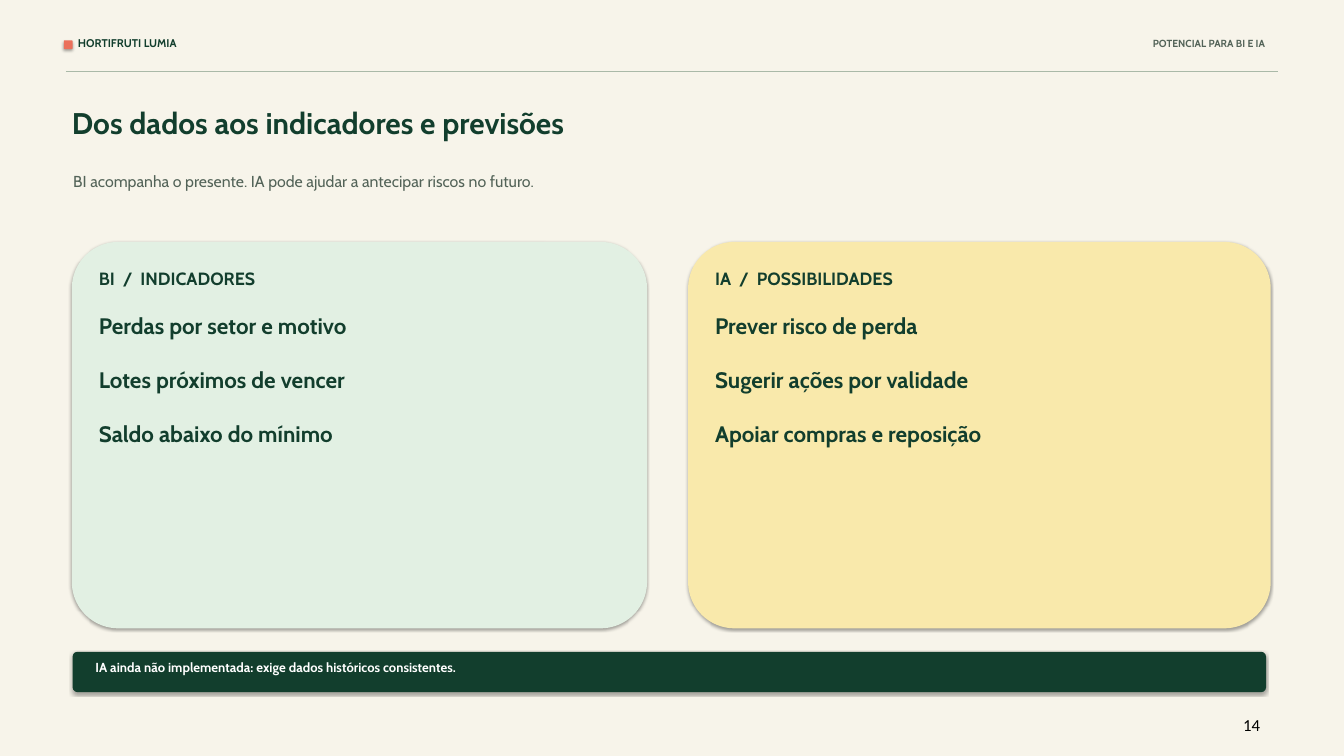
from collections import namedtuple
from dataclasses import dataclass

from lxml import etree
from pptx import Presentation
from pptx.dml import color
from pptx.enum import shapes, text
from pptx.oxml import ns
from pptx.util import Pt

Box = namedtuple("Box", "left top width height")


@dataclass(frozen=True)
class Theme:
    font: str = "Cabin"
    number_font: str = "Calibri"
    paper: str = "F7F4EA"
    green: str = "123E2D"
    gray: str = "536358"
    rule: str = "AAB9A8"
    coral: str = "EB705B"
    mint: str = "E2F0E3"
    yellow: str = "F9E9AB"
    white: str = "FFFFFF"
    black: str = "000000"
    title: int = 32
    item: int = 24
    label: int = 19
    number: int = 18
    subtitle: int = 17
    note: int = 14
    brand: int = 12
    section: int = 11


THEME = Theme()


def points(box):
    return [Pt(length) for length in box]


def rgb(value):
    return color.RGBColor.from_string(value)


def add_shadow(shape):
    effects = shape._element.spPr.find(ns.qn("a:effectLst"))
    shadow = etree.SubElement(
        effects, ns.qn("a:outerShdw"), blurRad=str(Pt(3.1)), dist=str(Pt(1.8)),
        dir="5400000", rotWithShape="0")
    shade = etree.SubElement(shadow, ns.qn("a:srgbClr"), val=THEME.black)
    etree.SubElement(shade, ns.qn("a:alpha"), val="35000")


def add_panel(slide, box, fill, rounded=True):
    kind = shapes.MSO_SHAPE.ROUNDED_RECTANGLE if rounded else shapes.MSO_SHAPE.RECTANGLE
    shape = slide.shapes.add_shape(kind, *points(box))
    shape.shadow.inherit = False
    shape.fill.solid()
    shape.fill.fore_color.rgb = rgb(fill)
    shape.line.fill.background()
    if rounded:
        shape.adjustments[0] = 0.12
        add_shadow(shape)


def add_text(slide, box, lines, size, fill, bold=True, font=THEME.font,
             align=text.PP_ALIGN.LEFT, gap=0):
    frame = slide.shapes.add_textbox(*points(box)).text_frame
    frame.word_wrap = True
    frame.margin_left = frame.margin_right = Pt(1.44)
    frame.margin_top = frame.margin_bottom = Pt(1.44)
    for index, line in enumerate(lines):
        paragraph = frame.paragraphs[0] if index == 0 else frame.add_paragraph()
        paragraph.alignment = align
        if index:
            paragraph.space_before = Pt(gap)
        run = paragraph.add_run()
        run.text = line
        run.font.name = font
        run.font.size = Pt(size)
        run.font.bold = bold
        run.font.color.rgb = rgb(fill)


def add_header(slide, box, brand, section):
    left, top, width, height = box
    add_panel(slide, Box(left - 2.2, top + 5.8, 9.4, 9.4), THEME.coral)
    add_text(slide, Box(left + 11.5, top, 360, 25), [brand], THEME.brand, THEME.green)
    add_text(slide, Box(left + width - 282.4, top + 0.8, 270, 24), [section],
             THEME.section, THEME.gray, align=text.PP_ALIGN.RIGHT)
    bottom = Pt(top + height)
    rule = slide.shapes.add_connector(
        shapes.MSO_CONNECTOR.STRAIGHT, Pt(left), bottom, Pt(left + width), bottom)
    rule.line.color.rgb = rgb(THEME.rule)
    rule.line.width = Pt(0.75)
    etree.SubElement(rule._element.spPr, ns.qn("a:effectLst"))


def add_heading(slide, box, title, subtitle):
    left, top, width, height = box
    add_text(slide, Box(left, top, width, 76), [title], THEME.title, THEME.green)
    add_text(slide, Box(left + 1.4, top + 72, width - 32, height - 72), [subtitle],
             THEME.subtitle, THEME.gray, bold=False)


def add_card(slide, box, fill, label, items):
    left, top, width, height = box
    add_panel(slide, box, fill)
    add_text(slide, Box(left + 27.4, top + 26, width - 54.8, 30), [label],
             THEME.label, THEME.green)
    add_text(slide, Box(left + 27.4, top + 74.2, width - 51.8, height - 90), items,
             THEME.item, THEME.green, gap=29)


def add_note(slide, box, note):
    add_panel(slide, box, THEME.green)
    add_text(slide, Box(box.left + 23, box.top + 6.5, box.width - 40, 25), [note],
             THEME.note, THEME.white)


def add_page_number(slide, box, number):
    add_text(slide, box, [number], THEME.number, THEME.black, bold=False,
             font=THEME.number_font)


def main():
    presentation = Presentation()
    page = Box(0, 0, 1440, 810)
    presentation.slide_width, presentation.slide_height = Pt(page.width), Pt(page.height)
    slide = presentation.slides.add_slide(presentation.slide_layouts[6])

    add_panel(slide, page, THEME.paper, rounded=False)
    add_header(slide, Box(70.6, 37.4, 1298.8, 39.2), "HORTIFRUTI LUMIA",
               "POTENCIAL PARA BI E IA")
    add_page_number(slide, Box(1330.6, 764.6, 36, 23), "14")
    add_heading(slide, Box(75.6, 110.9, 1285, 111.6),
                "Dos dados aos indicadores e previsões",
                "BI acompanha o presente. IA pode ajudar a antecipar riscos no futuro.")
    add_card(slide, Box(77, 259.2, 616.3, 414), THEME.mint, "BI  /  INDICADORES",
             ["Perdas por setor e motivo", "Lotes próximos de vencer",
              "Saldo abaixo do mínimo"])
    add_card(slide, Box(737.3, 259.2, 624.2, 414), THEME.yellow, "IA  /  POSSIBILIDADES",
             ["Prever risco de perda", "Sugerir ações por validade",
              "Apoiar compras e reposição"])
    add_note(slide, Box(77.8, 698.4, 1278.7, 43.2),
             "IA ainda não implementada: exige dados históricos consistentes.")
    presentation.save("out.pptx")


if __name__ == "__main__":
    main()
